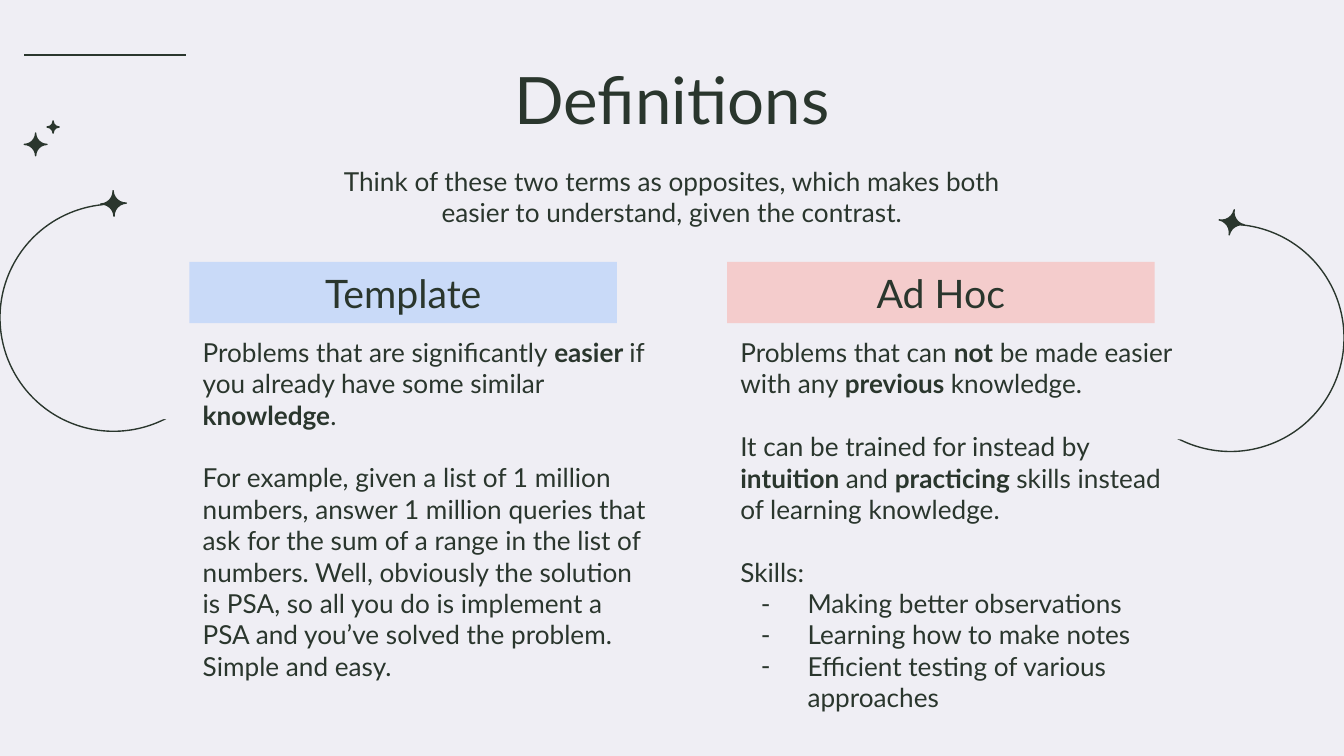
from lxml.etree import SubElement
from pptx import Presentation
from pptx.dml.color import RGBColor
from pptx.enum.shapes import MSO_CONNECTOR, MSO_SHAPE
from pptx.enum.text import MSO_ANCHOR, PP_ALIGN
from pptx.oxml.ns import qn
from pptx.util import Pt

COLORS = {"page": "EFEEF4", "ink": "2A362D", "template": "C9DAF8", "ad_hoc": "F4CCCC"}


def add_figure(kind, left, top, width, height, fill=None, line=None):
    figure = page.shapes.add_shape(kind, Pt(left), Pt(top), Pt(width), Pt(height))
    figure.shadow.inherit = False
    if fill:
        figure.fill.solid()
        figure.fill.fore_color.rgb = RGBColor.from_string(COLORS[fill])
    else:
        figure.fill.background()
    if line:
        figure.line.color.rgb = RGBColor.from_string(COLORS[line])
        figure.line.width = Pt(0.75)
    else:
        figure.line.fill.background()
    return figure


def write(box, text, size=14, align=PP_ALIGN.LEFT, anchor=MSO_ANCHOR.TOP, gap=0):
    """Put one paragraph per line; ** toggles bold and a leading "- " makes a bullet."""
    frame = box.text_frame
    frame.word_wrap = True
    frame.vertical_anchor = anchor
    frame.margin_left = frame.margin_right = Pt(7.2)
    frame.margin_top = frame.margin_bottom = Pt(7.2)
    for index, line in enumerate(text.split("\n")):
        para = frame.add_paragraph() if index else frame.paragraphs[0]
        para.alignment = align
        bulleted = line.startswith("- ")
        para.space_before = Pt(gap if index and not bulleted else 0)
        if bulleted:
            properties = para._p.get_or_add_pPr()
            properties.set("marL", str(Pt(36)))
            properties.set("indent", str(Pt(-25)))
            SubElement(properties, qn("a:buFont"), typeface="Lato")
            SubElement(properties, qn("a:buChar"), char="-")
        for part, words in enumerate(line.removeprefix("- ").split("**")):
            span = para.add_run()
            span.text = words
            span.font.name = "Lato"
            span.font.size = Pt(size)
            span.font.bold = part % 2 == 1
            span.font.color.rgb = RGBColor.from_string(COLORS["ink"])


deck = Presentation()
deck.slide_width, deck.slide_height = Pt(720), Pt(405)
page = deck.slides.add_slide(deck.slide_layouts[5])
page.background.fill.solid()
page.background.fill.fore_color.rgb = RGBColor.from_string(COLORS["page"])

# Decoration: each arc is a circle partly covered by a page-coloured one
rule = page.shapes.add_connector(MSO_CONNECTOR.STRAIGHT, Pt(99.4), Pt(29.5), Pt(13), Pt(29.5))
rule.line.color.rgb = RGBColor.from_string(COLORS["ink"])
rule.line.width = Pt(0.75)
SubElement(rule._element.spPr, qn("a:effectLst"))

CIRCLE = 121.7
for left, top, shift in [(720 - CIRCLE, 120.2, -23), (0, 109.4, 23)]:
    add_figure(MSO_SHAPE.OVAL, left, top, CIRCLE, CIRCLE, line="ink")
    add_figure(MSO_SHAPE.OVAL, left + shift, top - 6.4, CIRCLE, CIRCLE, fill="page")

for left, top, side, angle in [
    (13, 71.3, 12.2, 0),
    (25.2, 64.8, 6.5, 0),
    (54, 102.2, 13.7, 267.9),
    (653, 112.3, 13.7, 281.3),
]:
    sparkle = add_figure(MSO_SHAPE.PLAQUE, left, top, side, side, fill="ink", line="ink")
    sparkle.adjustments[0] = 0.5
    sparkle.rotation = angle

# Title and introduction
title = page.shapes.title
title.left, title.top, title.width, title.height = Pt(56.7), Pt(24.5), Pt(606.6), Pt(45.4)
write(title, "Definitions", size=35, align=PP_ALIGN.CENTER)

intro = page.shapes.add_textbox(Pt(164), Pt(81.4), Pt(392), Pt(24))
write(
    intro,
    "Think of these two terms as opposites, which makes both easier to understand, given the contrast.",
    align=PP_ALIGN.CENTER,
)

# Two definitions side by side
definitions = [
    (
        101.5, "Template", "template", 175,
        "Problems that are significantly **easier **if you already have some similar **knowledge**.\n"
        "For example, given a list of 1 million numbers, answer 1 million queries that ask for "
        "the sum of a range in the list of numbers. Well, obviously the solution is PSA, so all "
        "you do is implement a PSA and you’ve solved the problem. Simple and easy.",
    ),
    (
        389.5, "Ad Hoc", "ad_hoc", 187,
        "Problems that can **not** be made easier with any **previous **knowledge.\n"
        "It can be trained for instead by **intuition **and **practicing **skills instead of "
        "learning knowledge.\n"
        "Skills:\n"
        "- Making better observations\n"
        "- Learning how to make notes\n"
        "- Efficient testing of various approaches",
    ),
]
for left, term, color, height, meaning in definitions:
    heading = add_figure(MSO_SHAPE.RECTANGLE, left, 140.3, 229, 32.8, fill=color)
    write(heading, term, size=21, align=PP_ALIGN.CENTER, anchor=MSO_ANCHOR.MIDDLE)
    body = page.shapes.add_textbox(Pt(left), Pt(173), Pt(254), Pt(height))
    write(body, meaning, gap=16.8)

deck.save("out.pptx")
